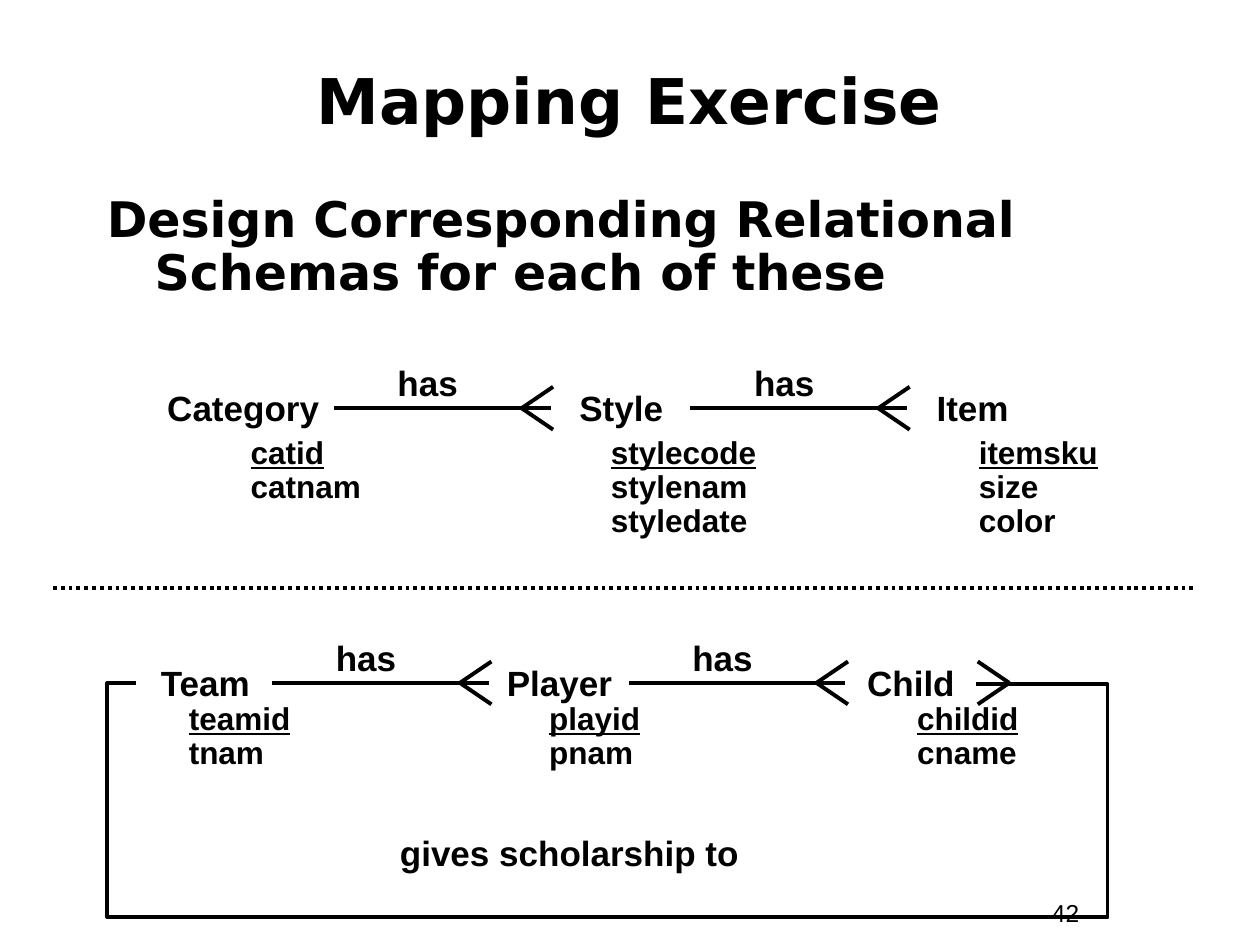
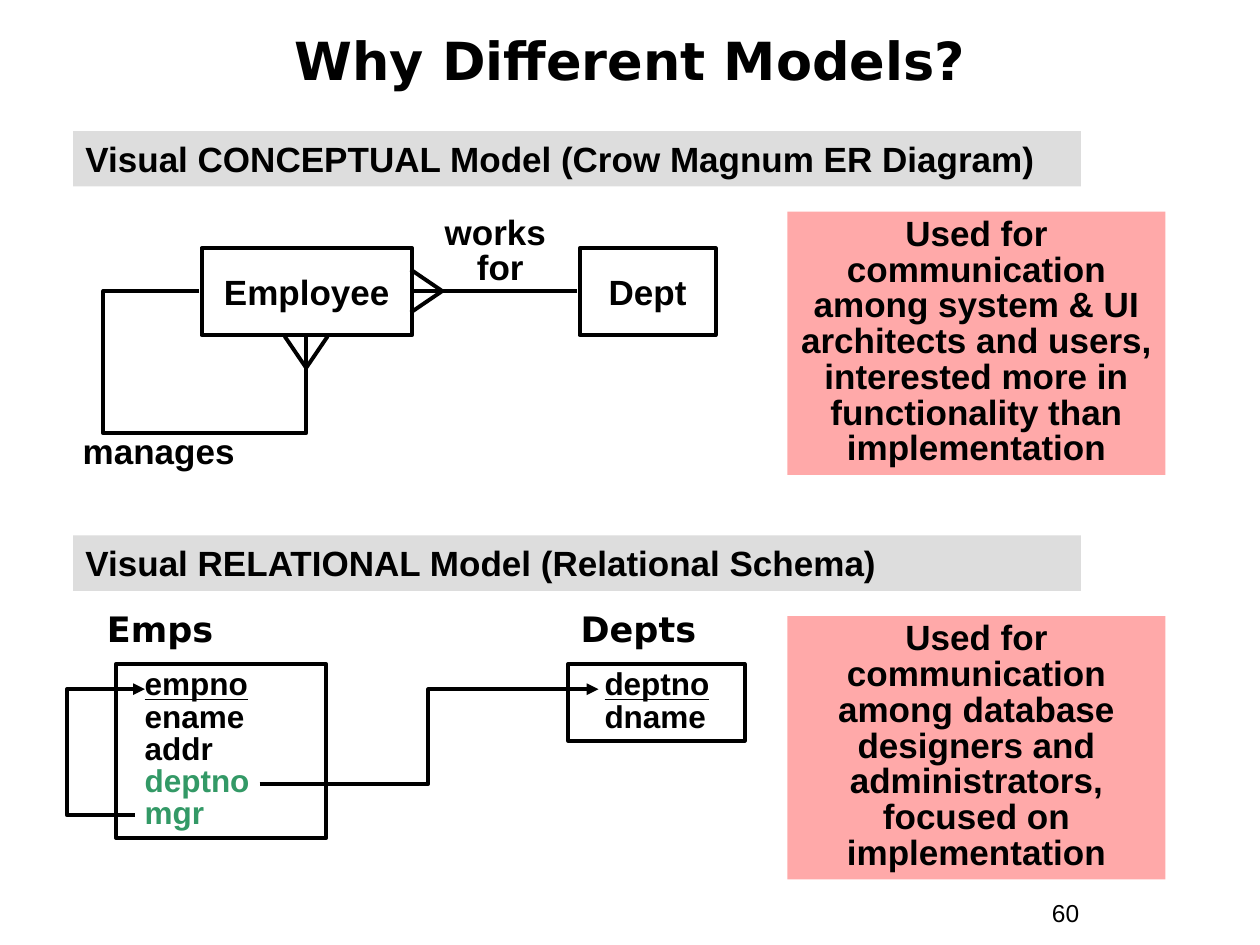
from dataclasses import dataclass

from lxml.etree import SubElement
from pptx import Presentation
from pptx.dml.color import RGBColor
from pptx.enum.dml import MSO_LINE
from pptx.enum.shapes import MSO_CONNECTOR, MSO_SHAPE
from pptx.enum.text import MSO_ANCHOR, PP_ALIGN
from pptx.oxml.ns import qn
from pptx.util import Inches, Pt


@dataclass(frozen=True)
class Theme:
    ink: str = "000000"
    band: str = "DDDDDD"
    note: str = "FFA9A9"
    key: str = "339966"
    sans: str = "Arial"
    head: str = "DejaVu Sans"
    rule: float = 2.25
    lead: int = 28
    label: int = 20
    field: int = 18
    page: int = 14


THEME = Theme()
MIDDLE = {"vertical_anchor": MSO_ANCHOR.MIDDLE}
CENTER = {"alignment": PP_ALIGN.CENTER}


# Basic parts
def rgb(code):
    return RGBColor.from_string(code)


def apply(target, values):
    for name, value in values.items():
        setattr(target, name, value)


def write(shape, lines, font=None, para=None, frame=None, indent=(0, 0), keys=()):
    """Fill a shape with paragraphs; lines named in keys take the key colour."""
    text = shape.text_frame
    apply(text, {"word_wrap": True, "vertical_anchor": MSO_ANCHOR.TOP} | (frame or {}))
    look = {"name": THEME.sans, "size": Pt(THEME.label), "bold": True} | (font or {})
    for i, line in enumerate(lines):
        item = text.paragraphs[0] if i == 0 else text.add_paragraph()
        item.text = line
        apply(item, {"alignment": PP_ALIGN.LEFT} | (para or {}))
        if any(indent):
            props = item._p.get_or_add_pPr()
            props.set("marL", str(Inches(indent[0])))
            props.set("indent", str(Inches(indent[1])))
        for run in item.runs:
            apply(run.font, look)
            run.font.color.rgb = rgb(THEME.key if line in keys else THEME.ink)
    return shape


def label(slide, box, lines, **style):
    return write(slide.shapes.add_textbox(*map(Inches, box)), lines, **style)


def block(slide, box, lines, fill=None, **style):
    """Rectangle: filled without outline, or outlined without fill."""
    shape = slide.shapes.add_shape(MSO_SHAPE.RECTANGLE, *map(Inches, box))
    shape.shadow.inherit = False
    if fill:
        shape.fill.solid()
        shape.fill.fore_color.rgb = rgb(fill)
        shape.line.fill.background()
    else:
        shape.fill.background()
        shape.line.color.rgb = rgb(THEME.ink)
        shape.line.width = Pt(THEME.rule)
    return write(shape, lines, **style)


def line(slide, start, end, kind=MSO_CONNECTOR.STRAIGHT):
    link = slide.shapes.add_connector(kind, *map(Inches, (*start, *end)))
    link.line.color.rgb = rgb(THEME.ink)
    link.line.width = Pt(THEME.rule)
    SubElement(link._element.spPr, qn("a:effectLst"))
    return link


def elbow(slide, start, end, turns, arrow=False):
    """Bent line; turns lists the x, y, x... at which it changes direction."""
    link = line(slide, start, end, MSO_CONNECTOR.ELBOW)
    shape = link._element.spPr.find(qn("a:prstGeom"))
    shape.set("prst", f"bentConnector{len(turns) + 2}")
    guides = shape.find(qn("a:avLst"))
    if guides is None:
        guides = SubElement(shape, qn("a:avLst"))
    for i, turn in enumerate(turns):
        axis = i % 2
        share = (turn - start[axis]) / (end[axis] - start[axis])
        SubElement(guides, qn("a:gd"), name=f"adj{i + 1}",
                   fmla=f"val {round(share * 100000)}")
    if arrow:
        SubElement(link.line._get_or_add_ln(), qn("a:tailEnd"), type="triangle")


def foot(slide, x, y, dx=0, dy=0):
    """Crow's foot that spreads from its tip along dx or dy."""
    for side in (-0.17, 0.17):
        line(slide, (x, y), (x + (dx or side), y + (dy or side)))


# Shared by both slides
def base(deck, title, box, size, page):
    slide = deck.slides.add_slide(deck.slide_layouts[6])
    label(slide, (8.25, 7.08, 0.92, 0.34), [page],
          font={"size": Pt(THEME.page), "bold": False})
    label(slide, box, [title], font={"name": THEME.head, "size": Pt(size)},
          para=CENTER, frame=MIDDLE)
    return slide


def fields(slide, box, names, draw=label, space=0.9, **style):
    """List of columns with the first one underlined as the key."""
    shape = draw(slide, box, names, font={"size": Pt(THEME.field)},
                 para={"line_spacing": space}, **style)
    shape.text_frame.paragraphs[0].runs[0].font.underline = True


# Slide 1: chains of entities
def chain(slide, left, top, drop, nodes):
    """Three entities in a row, each joined to the next by a "has" link."""
    places = ((0.67, 1.19), (3.53, 1.42), (6.45, 1.17))
    mid = top + 0.34
    for (x, width, name, names), (inset, room) in zip(nodes, places):
        label(slide, (left + x, top, width, 0.67), [name], para=CENTER,
              frame=MIDDLE | {"word_wrap": False})
        fields(slide, (left + inset, top + drop, room, 0.64), names)
    for i in range(2):
        x = left + 1.43 + i * 2.83
        line(slide, (x, mid), (x + 1.72, mid))
        foot(slide, x + 1.74 - 0.25, mid, dx=0.25)
        label(slide, (x - 0.09, top - 0.08, 1.67, 0.44), ["has"], para=CENTER)


def exercise(deck):
    slide = base(deck, "Mapping Exercise", (0.33, 0.33, 9.33, 0.92), 36, "42")
    label(slide, (0.75, 1.5, 8.5, 1.42),
          ["Design Corresponding Relational Schemas for each of these"],
          font={"name": THEME.head, "size": Pt(THEME.lead)},
          para={"line_spacing": 0.9}, indent=(0.38, -0.38))
    chain(slide, 1.22, 2.9, 0.52, (
        (0, 1.42, "Category", ["catid", "catnam"]),
        (3.17, 1.08, "Style", ["stylecode", "stylenam", "styledate"]),
        (6, 1, "Item", ["itemsku", "size", "color"])))
    line(slide, (0.42, 4.67), (9.5, 4.67)).line.dash_style = MSO_LINE.ROUND_DOT
    chain(slide, 0.73, 5.08, 0.45, (
        (0.37, 1.06, "Team", ["teamid", "tnam"]),
        (3.17, 1.08, "Player", ["playid", "pnam"]),
        (6, 1, "Child", ["childid", "cname"])))
    # Scholarship loop from team to child
    elbow(slide, (1.08, 5.42), (7.75, 5.43), (0.85, 7.31, 8.79))
    foot(slide, 8.01, 5.42, dx=-0.25)
    label(slide, (2.52, 6.55, 4, 0.44), ["gives scholarship to"], para=CENTER)


# Slide 2: two models, each with a band and a note
def panel(slide, top, title, note):
    block(slide, (0.58, top, 8, 0.44), [title], fill=THEME.band)
    block(slide, (6.25, top + 0.64, 3, 2.09), [note], fill=THEME.note,
          para=CENTER | {"line_spacing": 0.85})


def concept(slide, left, top):
    mid = top + 0.34
    for x, width, name in ((1.02, 1.67, "Employee"), (4.02, 1.08, "Dept")):
        block(slide, (left + x, top, width, 0.69), [name], para=CENTER,
              frame=MIDDLE | {"word_wrap": False})
    # Works for
    line(slide, (left + 4, mid), (left + 2.7, mid))
    foot(slide, left + 2.93, mid, dx=-0.25)
    label(slide, (left + 2.6, top - 0.3, 1.58, 0.67), ["works \vfor"],
          para=CENTER | {"line_spacing": 0.85})
    # Manages
    elbow(slide, (left + 1, mid), (left + 1.85, top + 0.7),
          (left + 0.24, top + 1.47))
    foot(slide, left + 1.85, top + 0.95, dy=-0.25)
    label(slide, (left - 0.07, top + 1.39, 1.5, 0.44), ["manages"], para=CENTER)


def schema(slide, left, top):
    tables = (
        (0.75, "Emps", (0.92, 1.67, 1.38), 0.13,
         ["empno", "ename", "addr", "deptno", "mgr"], ("deptno", "mgr")),
        (4.51, "Depts", (4.51, 1.4, 0.61), 0.19, ["deptno", "dname"], ()))
    for x, name, (edge, width, height), inset, names, keys in tables:
        label(slide, (left + x, top, 1.5, 0.44), [name], font={"name": THEME.head})
        fields(slide, (left + edge, top + 0.5, width, height), names, draw=block,
               space=0.85, indent=(inset, 0), keys=keys)
    # Foreign keys point at the primary keys
    goal = top + 0.7
    elbow(slide, (left + 2.06, top + 1.45), (left + 4.75, goal),
          (left + 3.4,), arrow=True)
    elbow(slide, (left + 1.07, top + 1.7), (left + 1.15, goal),
          (left + 0.53,), arrow=True)


def models(deck):
    slide = base(deck, "Why Different Models?", (0.25, 0.22, 9.5, 0.5), 30, "60")
    panel(slide, 1.04, "Visual CONCEPTUAL Model (Crow Magnum ER Diagram)",
          "Used for communication among system & UI architects and users, "
          "interested more in functionality than implementation")
    panel(slide, 4.25, "Visual RELATIONAL Model (Relational Schema)",
          "Used for communication among database designers and "
          "administrators, focused on implementation")
    concept(slide, 0.58, 1.97)
    schema(slide, 0, 4.77)


def main():
    deck = Presentation()
    apply(deck, {"slide_width": Inches(10), "slide_height": Inches(7.5)})
    exercise(deck)
    models(deck)
    deck.save("out.pptx")


if __name__ == "__main__":
    main()
